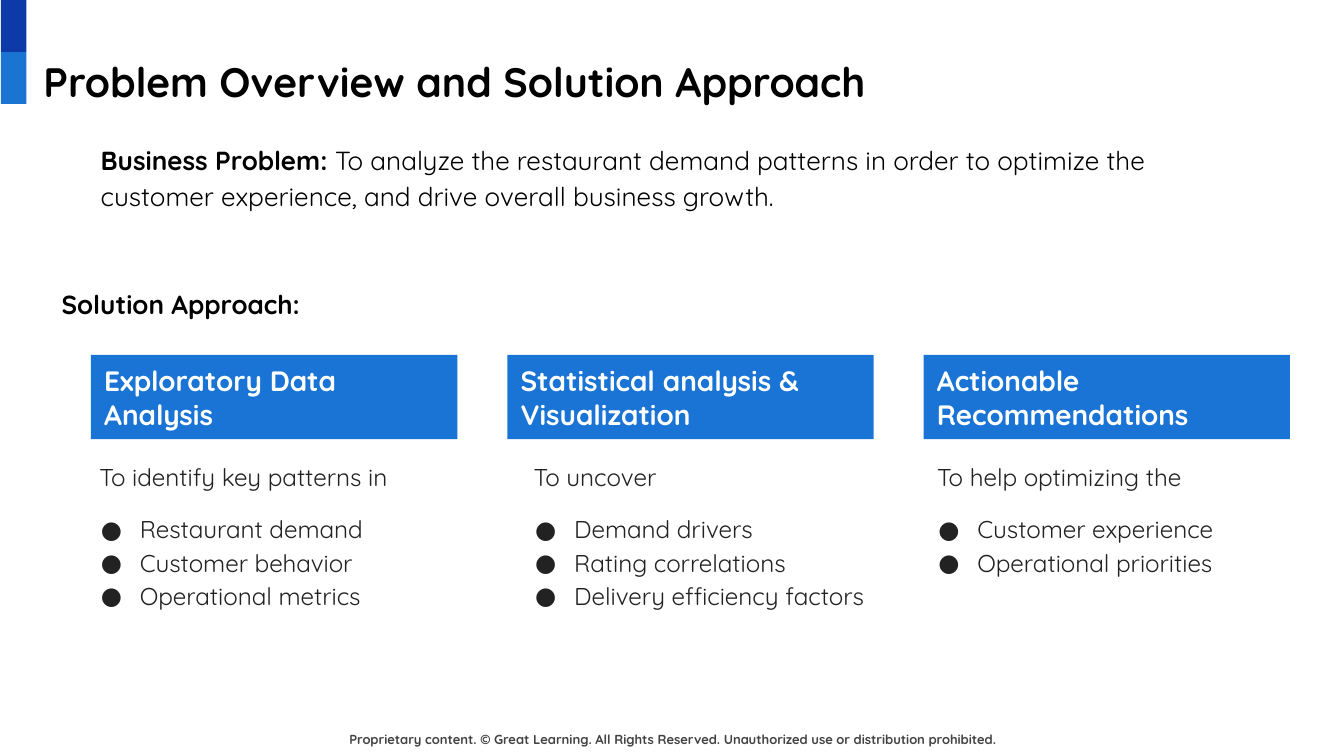
from dataclasses import dataclass

import pptx
import pptx.dml.color
import pptx.enum.shapes
import pptx.enum.text
import pptx.oxml
import pptx.oxml.ns
import pptx.util


@dataclass(frozen=True)
class Theme:
    font: str = "Quicksand"
    navy: str = "0E39A9"
    blue: str = "1974D2"
    header_blue: str = "1974D5"
    black: str = "000000"
    ink: str = "222222"
    grey: str = "434343"
    white: str = "FFFFFF"
    title_size: int = 22
    header_size: int = 15
    statement_size: int = 14
    body_size: int = 13
    footer_size: int = 7
    line_spacing: float = 1.15
    list_gap: int = 10


class SlideBuilder:
    COLUMNS = 100
    ROWS = 56.25

    def __init__(self, deck, theme):
        self.theme = theme
        self.column = deck.slide_width / self.COLUMNS
        self.row = deck.slide_height / self.ROWS
        self.slide = deck.slides.add_slide(deck.slide_layouts[6])

    def place(self, left, top, width, height):
        return (round(left * self.column), round(top * self.row),
                round(width * self.column), round(height * self.row))

    def style(self, paragraph, size, color, bold=False, spacing=None):
        paragraph.font.name = self.theme.font
        paragraph.font.size = pptx.util.Pt(size)
        paragraph.font.bold = bold
        paragraph.font.color.rgb = pptx.dml.color.RGBColor.from_string(color)
        if spacing:
            paragraph.line_spacing = spacing

    def frame(self, shape):
        frame = shape.text_frame
        frame.word_wrap = True
        frame.margin_left = frame.margin_right = pptx.util.Inches(0.1)
        frame.margin_top = frame.margin_bottom = pptx.util.Inches(0.1)
        return frame

    def text(self, area, words, size, color, bold=False, spacing=None):
        frame = self.frame(self.slide.shapes.add_textbox(*self.place(*area)))
        paragraph = frame.paragraphs[0]
        paragraph.text = words
        self.style(paragraph, size, color, bold, spacing)
        return frame

    def footer(self, area, words):
        frame = self.text(area, words, self.theme.footer_size, self.theme.grey, True, 1.02)
        frame.auto_size = pptx.enum.text.MSO_AUTO_SIZE.SHAPE_TO_FIT_TEXT
        frame.paragraphs[0].alignment = pptx.enum.text.PP_ALIGN.CENTER

    def statement(self, area, label, words=""):
        theme = self.theme
        frame = self.text(area, label, theme.statement_size, theme.black,
                          True, theme.line_spacing)
        if words:
            detail = frame.paragraphs[0].add_run()
            detail.text = words
            detail.font.bold = False

    def block(self, area, color):
        block = self.slide.shapes.add_shape(
            pptx.enum.shapes.MSO_SHAPE.RECTANGLE, *self.place(*area))
        block.shadow.inherit = False
        block.fill.solid()
        block.fill.fore_color.rgb = pptx.dml.color.RGBColor.from_string(color)
        block.line.fill.background()
        return block

    def header(self, area, words):
        theme = self.theme
        frame = self.frame(self.block(area, theme.header_blue))
        frame.vertical_anchor = pptx.enum.text.MSO_ANCHOR.MIDDLE
        heading = frame.paragraphs[0]
        heading.text = words
        heading.alignment = pptx.enum.text.PP_ALIGN.LEFT
        self.style(heading, theme.header_size, theme.white, True)

    def bullet(self, paragraph):
        properties = paragraph._p.get_or_add_pPr()
        properties.set("marL", str(pptx.util.Inches(0.3)))
        properties.set("indent", str(pptx.util.Inches(-0.29)))
        namespace = pptx.oxml.ns.nsdecls("a")
        for markup in (
            f'<a:buClr {namespace}><a:srgbClr val="{self.theme.ink}"/></a:buClr>',
            f'<a:buFont {namespace} typeface="{self.theme.font}"/>',
            f'<a:buChar {namespace} char="●"/>',
        ):
            properties.append(pptx.oxml.parse_xml(markup))

    def goals(self, area, intro, items):
        theme = self.theme
        frame = self.text(area, intro, theme.body_size, theme.ink)
        for index, item in enumerate(items):
            goal = frame.add_paragraph()
            goal.text = item
            self.bullet(goal)
            self.style(goal, theme.body_size, theme.ink, spacing=theme.line_spacing)
            if index == 0:
                goal.space_before = pptx.util.Pt(theme.list_gap)


def main():
    deck = pptx.Presentation()
    deck.slide_width = pptx.util.Pt(720)
    deck.slide_height = pptx.util.Pt(405)
    theme = Theme()
    page = SlideBuilder(deck, theme)

    page.footer((24.5, 53.8, 51.1, 3),
                "Proprietary content. © Great Learning. All Rights Reserved. "
                "Unauthorized use or distribution prohibited.")
    for index, color in enumerate((theme.navy, theme.blue)):
        page.block((0.06, 3.87 * index, 1.9, 3.87), color)

    page.text((2.24, 3.2, 93.2, 6.3), "Problem Overview and Solution Approach",
              theme.title_size, theme.black, True)
    page.statement((6.5, 9.4, 87.1, 7.6), "Business Problem: ",
                   "To analyze the restaurant demand patterns in order to optimize "
                   "the customer experience, and drive overall business growth.")
    page.statement((3.6, 20.1, 46.4, 4.2), "Solution Approach:")

    approaches = (
        ("Exploratory Data Analysis", 6.42, 28, 15, "To identify key patterns in",
         ("Restaurant demand", "Customer behavior", "Operational metrics")),
        ("Statistical analysis & Visualization", 38.73, 30, 15, "To uncover",
         ("Demand drivers", "Rating correlations", "Delivery efficiency factors")),
        ("Actionable Recommendations", 68.74, 30, 16, "To help optimizing the",
         ("Customer experience", "Operational priorities")),
    )
    for index, (heading, left, width, height, intro, items) in enumerate(approaches):
        page.header((6.77 + 30.98 * index, 26.4, 27.26, 6.28), heading)
        page.goals((left, 33.4, width, height), intro, items)

    deck.save("out.pptx")


if __name__ == "__main__":
    main()
